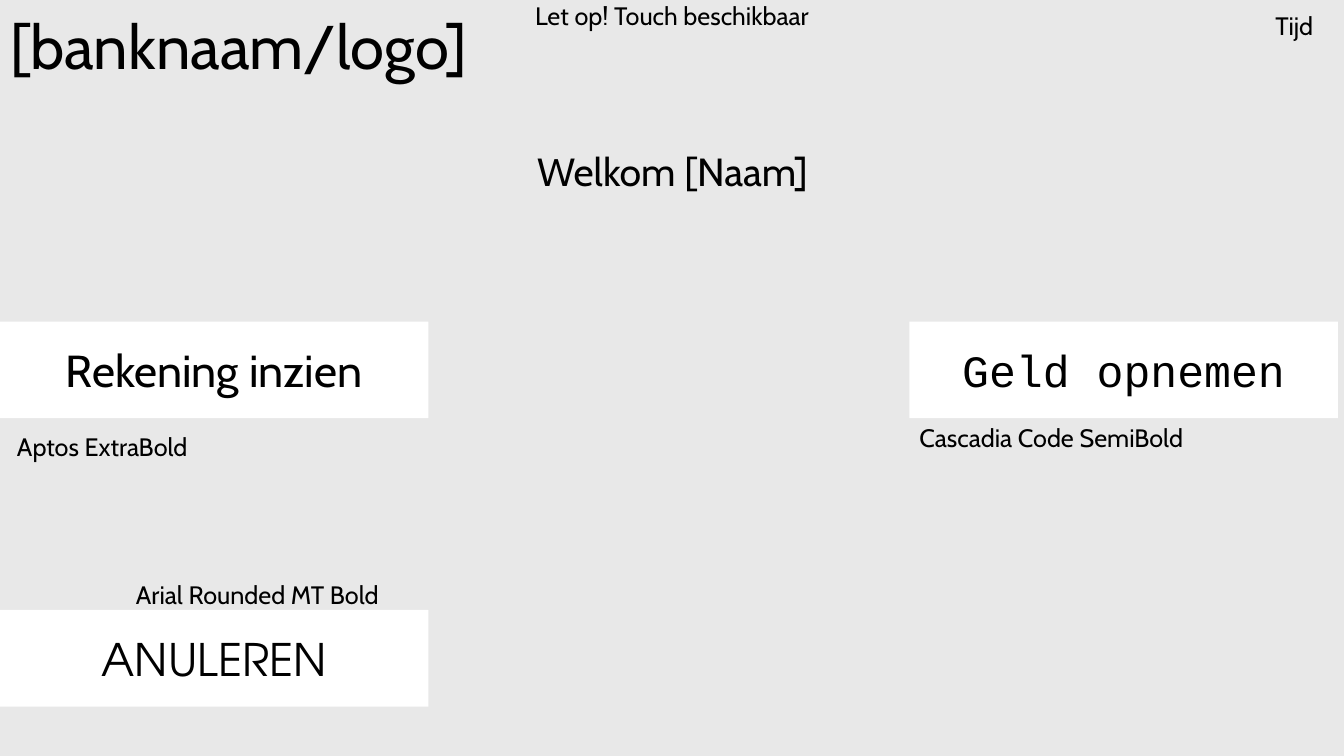
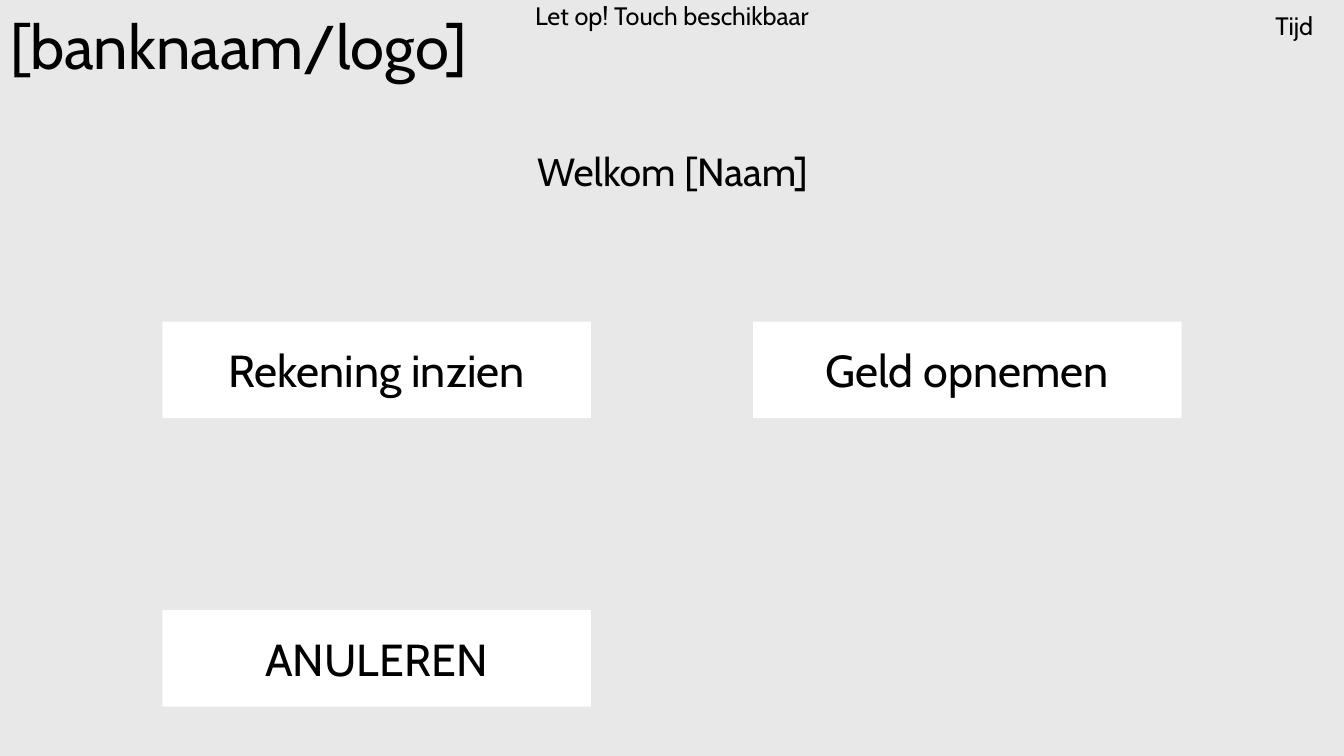
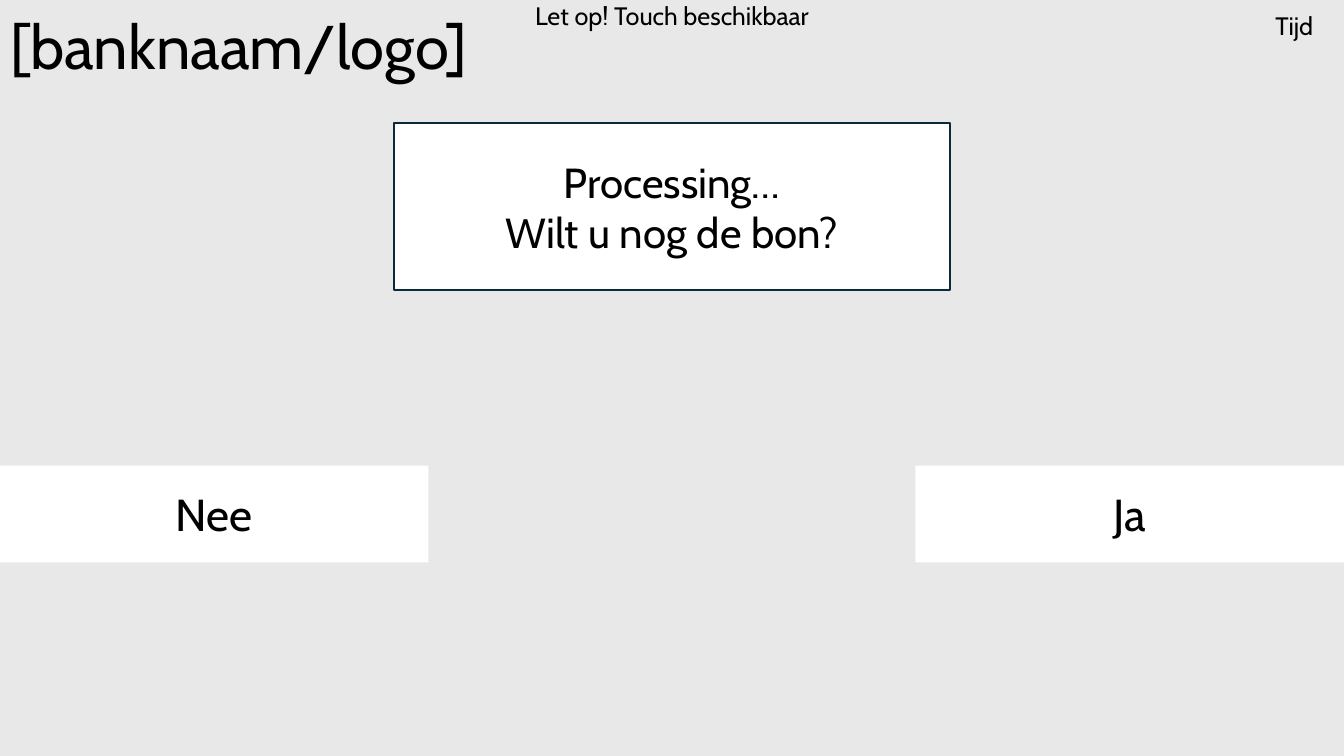
"""Builds three touch screens of a cash machine."""
from pptx import Presentation
from pptx.dml.color import RGBColor
from pptx.enum import shapes, text
from pptx.util import Inches, Pt

GREY = RGBColor(0xE8, 0xE8, 0xE8)
WHITE = RGBColor(0xFF, 0xFF, 0xFF)
BLACK = RGBColor(0, 0, 0)
NAVY = RGBColor(0x09, 0x2A, 0x39)
FONT = "Cabin"
MID = text.MSO_ANCHOR.MIDDLE
TOP = text.MSO_ANCHOR.TOP
CENTER = text.PP_ALIGN.CENTER
LEFT = text.PP_ALIGN.LEFT
WIDE, HIGH = 4.25, 0.96
RIGHT = 13.33 - WIDE


def write(shape, lines, size, font=FONT, align=CENTER, anchor=MID):
    frame = shape.text_frame
    frame.word_wrap = True
    frame.auto_size = text.MSO_AUTO_SIZE.NONE
    frame.vertical_anchor = anchor
    for i, line in enumerate(lines):
        para = frame.add_paragraph() if i else frame.paragraphs[0]
        para.alignment = align
        run = para.add_run()
        run.text = line
        run.font.size = Pt(size)
        run.font.name = font
        run.font.color.rgb = BLACK


def panel(slide, box, lines, size, font=FONT):
    shape = slide.shapes.add_shape(shapes.MSO_SHAPE.RECTANGLE, *map(Inches, box))
    shape.shadow.inherit = False
    shape.fill.solid()
    shape.fill.fore_color.rgb = WHITE
    shape.line.fill.background()
    write(shape, lines, size, font)
    return shape


prs = Presentation()
prs.slide_width, prs.slide_height = Inches(13.33), Inches(7.5)
back = prs.slide_master.background.fill
back.solid()
back.fore_color.rgb = GREY

HEAD = [
    ("Tijd ", (12.4, 0, 0.93, 0.5), 18, CENTER, MID),
    ("Let op! Touch beschikbaar", (4.24, 0.01, 4.85, 0.28), 18, CENTER, MID),
]
HELLO = ("Welkom [Naam]", (4.67, 1.22, 4, 0.96), 28, CENTER, MID)
NOTES = [
    ("Aptos ExtraBold", (0.07, 4.23, 2.05, 0.4), 18, LEFT, TOP),
    ("Arial Rounded MT Bold", (1.25, 5.7, 2.92, 0.4), 18, LEFT, TOP),
    ("Cascadia Code SemiBold", (9.02, 4.14, 3.07, 0.4), 18, LEFT, TOP),
]
SCREENS = [
    ([("Rekening inzien", 0, 3.19, FONT),
      ("ANULEREN", 0, 6.05, "TeX Gyre Adventor"),
      ("Geld opnemen", 9.02, 3.19, "Courier New")], NOTES + [HELLO]),
    ([("Rekening inzien", 1.61, 3.19, FONT),
      ("ANULEREN", 1.61, 6.05, FONT),
      ("Geld opnemen", 7.47, 3.19, FONT)], [HELLO]),
    ([("Ja", RIGHT, 4.62, FONT),
      ("Nee", 0, 4.62, FONT)], []),
]

for buttons, labels in SCREENS:
    slide = prs.slides.add_slide(prs.slide_layouts[5])
    title = slide.shapes.title
    title.left, title.top = Inches(0), Inches(-0.23)
    title.width, title.height = Inches(13.33), Inches(1.45)
    write(title, ["[banknaam/logo]"], 44, align=LEFT)
    title.text_frame.paragraphs[0].line_spacing = 0.9
    for name, left, top, font in buttons:
        panel(slide, (left, top, WIDE, HIGH), [name], 32, font)
    for words, box, size, align, anchor in HEAD + labels:
        label = slide.shapes.add_textbox(*map(Inches, box))
        write(label, [words], size, align=align, anchor=anchor)

ask = panel(slide, (3.91, 1.22, 5.51, 1.66),
            ["Processing…", "Wilt u nog de bon?"], 30)
ask.line.color.rgb = NAVY
ask.line.width = Pt(1.5)

prs.save("out.pptx")
